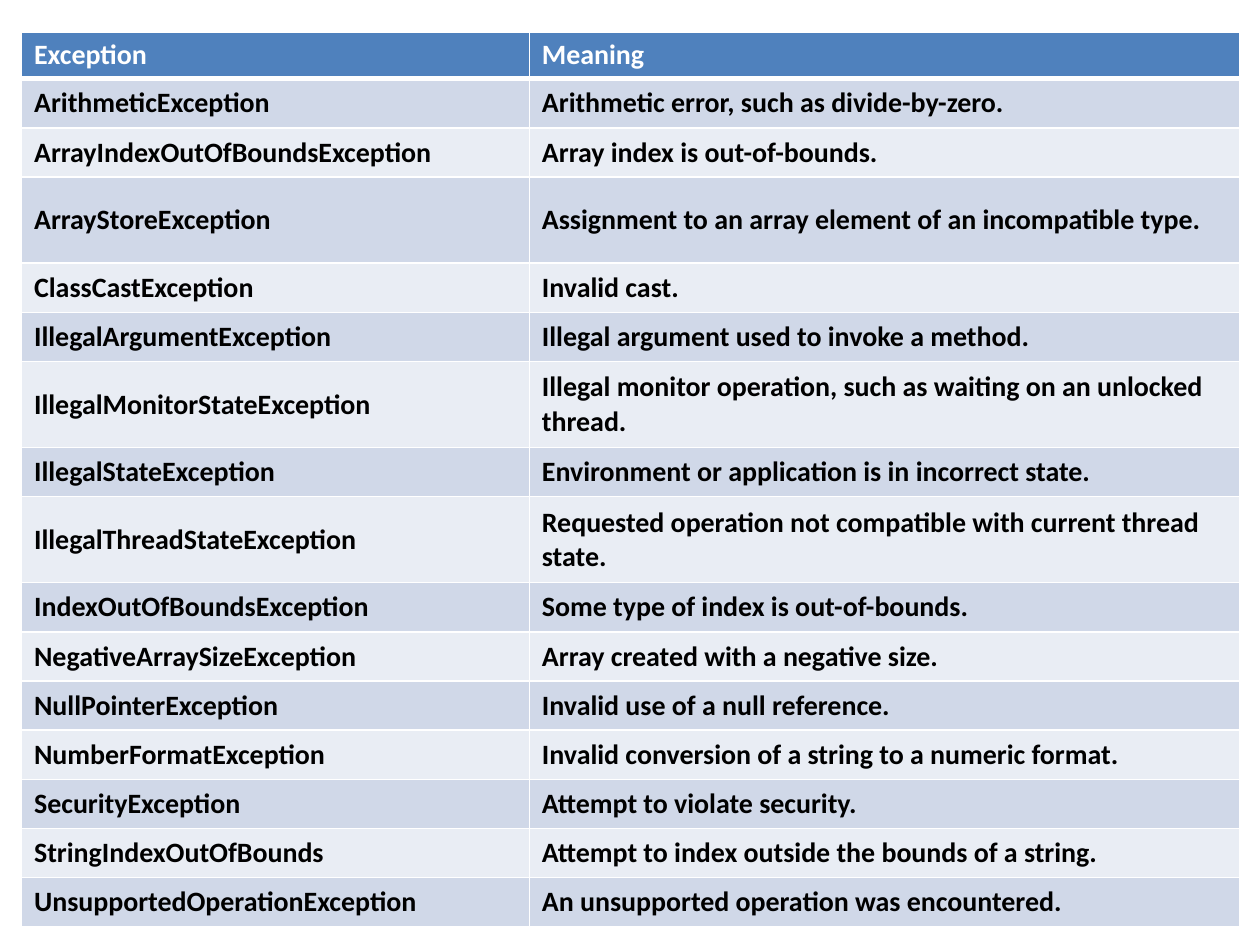
from dataclasses import dataclass
from typing import NamedTuple

from lxml.etree import SubElement as Sub
from pptx import Presentation
from pptx.dml.color import RGBColor as Rgb
from pptx.enum.text import MSO_ANCHOR as Anchor
from pptx.oxml.ns import qn
from pptx.table import Table, _Cell as Cell
from pptx.util import Pt


@dataclass(frozen=True)
class Theme:
    font: str = "Calibri"
    size: float = 16
    head: str = "4F81BD"
    bands: tuple[str, str] = ("D0D8E8", "E9EDF4")
    light: str = "FFFFFF"
    dark: str = "000000"
    thin: float = 1
    thick: float = 3


class Row(NamedTuple):
    name: str
    sense: str
    high: float = 28.1


THEME = Theme()
LEFT, TOP = 12.3, 18.2
WIDTHS = (290.2, 406.1)
TALL = 49.2
ROWS = (
    Row("Exception", "Meaning", 26.4),
    Row("ArithmeticException", "Arithmetic error, such as divide-by-zero."),
    Row("ArrayIndexOutOfBoundsException", "Array index is out-of-bounds."),
    Row("ArrayStoreException",
        "Assignment to an array element of an incompatible type.", TALL),
    Row("ClassCastException", "Invalid cast."),
    Row("IllegalArgumentException", "Illegal argument used to invoke a method."),
    Row("IllegalMonitorStateException",
        "Illegal monitor operation, such as waiting on an unlocked thread.", TALL),
    Row("IllegalStateException",
        "Environment or application is in incorrect state."),
    Row("IllegalThreadStateException",
        "Requested operation not compatible with current thread state.", TALL),
    Row("IndexOutOfBoundsException", "Some type of index is out-of-bounds."),
    Row("NegativeArraySizeException", "Array created with a negative size."),
    Row("NullPointerException", "Invalid use of a null reference."),
    Row("NumberFormatException",
        "Invalid conversion of a string to a numeric format."),
    Row("SecurityException", "Attempt to violate security."),
    Row("StringIndexOutOfBounds",
        "Attempt to index outside the bounds of a string."),
    Row("UnsupportedOperationException",
        "An unsupported operation was encountered."),
)


def write(cell: Cell, text: str, *, color: str, anchor: Anchor,
          size: float = THEME.size, bold: bool = True) -> None:
    cell.vertical_anchor = anchor
    run = cell.text_frame.paragraphs[0].add_run()
    run.text = text
    font = run.font
    font.name, font.size, font.bold = THEME.font, Pt(size), bold
    font.color.rgb = Rgb.from_string(color)


def edge(cell: Cell, **sides: float) -> None:
    props = cell._tc.get_or_add_tcPr()
    for side in "LRTB":
        width = sides.get(side, THEME.thin)
        line = Sub(props, qn(f"a:ln{side}"), w=str(Pt(width)))
        Sub(Sub(line, qn("a:solidFill")), qn("a:srgbClr"), val=THEME.light)


def draw(table: Table, i: int, row: Row) -> None:
    table.rows[i].height = Pt(row.high)
    if i == 0:
        fill, color, anchor = THEME.head, THEME.light, Anchor.TOP
        sides = {"B": THEME.thick}
    else:
        fill, color, anchor = THEME.bands[(i - 1) % 2], THEME.dark, Anchor.MIDDLE
        sides = {"T": THEME.thick} if i == 1 else {}
    for j, text in enumerate((row.name, row.sense)):
        cell = table.cell(i, j)
        edge(cell, **sides)
        cell.fill.solid()
        cell.fill.fore_color.rgb = Rgb.from_string(fill)
        write(cell, text, color=color, anchor=anchor)


def main() -> None:
    deck = Presentation()
    deck.slide_width, deck.slide_height = Pt(720), Pt(540)
    slide = deck.slides.add_slide(deck.slide_layouts[6])
    high = sum(row.high for row in ROWS)
    frame = slide.shapes.add_table(len(ROWS), len(WIDTHS), Pt(LEFT), Pt(TOP),
                                   Pt(sum(WIDTHS)), Pt(high))
    table = frame.table
    for col, width in zip(table.columns, WIDTHS):
        col.width = Pt(width)
    for i, row in enumerate(ROWS):
        draw(table, i, row)
    deck.save("out.pptx")


if __name__ == "__main__":
    main()
